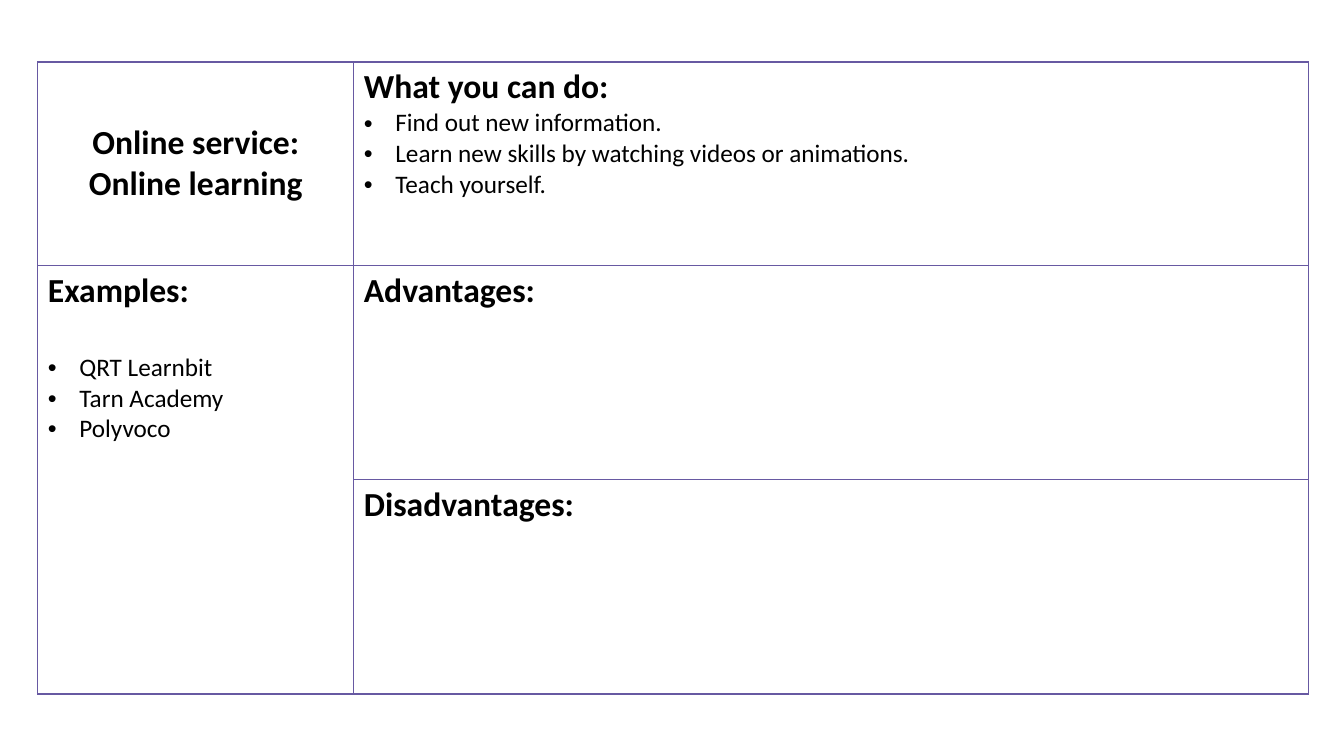
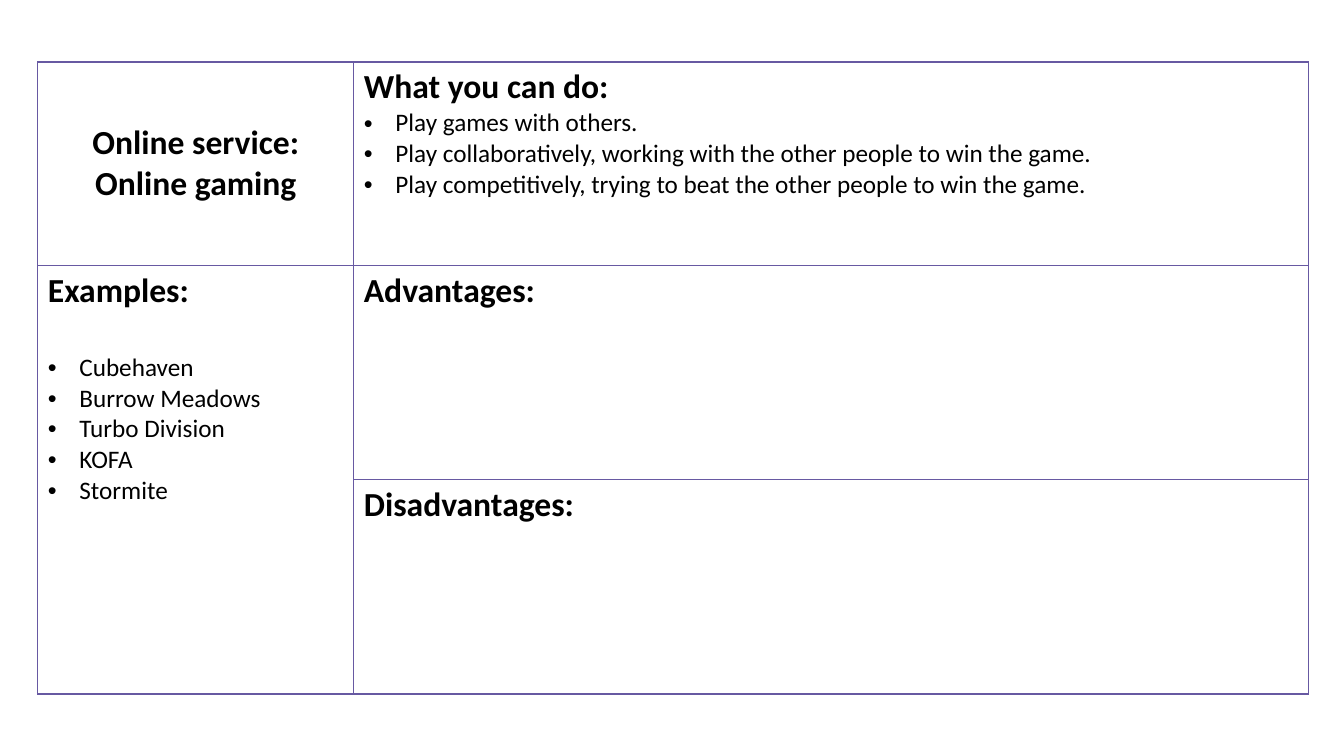
"""Build two worksheet slides that each describe one kind of online service."""
from dataclasses import dataclass

from lxml import etree
from pptx import Presentation
from pptx.dml.color import RGBColor
from pptx.enum.text import MSO_ANCHOR, PP_ALIGN
from pptx.oxml.ns import qn
from pptx.util import Pt

LEFT, CENTER = PP_ALIGN.LEFT, PP_ALIGN.CENTER
TOP, MIDDLE = MSO_ANCHOR.TOP, MSO_ANCHOR.MIDDLE
PX = 9525


@dataclass(frozen=True)
class Theme:
    font: str = "Calibri"
    ink: str = "000000"
    rule: str = "6759A2"
    rule_pt: int = 1
    head: int = 24
    body: int = 18
    gap: int = 29
    indent: int = 30


theme = Theme()
cols = [301, 909]
rows = [194, 204, 204]

pages = [
    (
        "Online learning",
        [
            "Find out new information.",
            "Learn new skills by watching videos or animations.",
            "Teach yourself.",
        ],
        ["QRT Learnbit", "Tarn Academy", "Polyvoco"],
    ),
    (
        "Online gaming",
        [
            "Play games with others.",
            "Play collaboratively, working with the other people to win the game.",
            "Play competitively, trying to beat the other people to win the game.",
        ],
        ["Cubehaven", "Burrow Meadows", "Turbo Division", "KOFA", "Stormite"],
    ),
]


def frame(cell):
    """Draw the four borders of a cell and clear its fill."""
    props = cell._tc.get_or_add_tcPr()
    for side in ("lnL", "lnR", "lnT", "lnB"):
        line = etree.SubElement(props, qn(f"a:{side}"), w=str(Pt(theme.rule_pt)))
        fill = etree.SubElement(line, qn("a:solidFill"))
        etree.SubElement(fill, qn("a:srgbClr"), val=theme.rule)
    cell.fill.background()


def write(cell, heads, items=(), gap=0, align=LEFT, anchor=TOP):
    """Write bold headings, then a bulleted list, into a cell."""
    cell.vertical_anchor = anchor
    text = cell.text_frame
    lines = [(head, True) for head in heads] + [(item, False) for item in items]
    for i, (words, bold) in enumerate(lines):
        para = text.add_paragraph() if i else text.paragraphs[0]
        para.alignment = align
        if not bold:
            props = para._p.get_or_add_pPr()
            props.set("marL", str(theme.indent * PX))
            props.set("indent", str(-theme.indent * PX))
            etree.SubElement(props, qn("a:buFont"), typeface="Arial")
            etree.SubElement(props, qn("a:buChar"), char="•")
        if gap and i == len(heads):
            para.space_before = Pt(gap)
        run = para.add_run()
        run.text = words
        run.font.name = theme.font
        run.font.size = Pt(theme.head if bold else theme.body)
        run.font.bold = bold
        run.font.color.rgb = RGBColor.from_string(theme.ink)


deck = Presentation()
deck.slide_width = 1280 * PX
deck.slide_height = 720 * PX
blank = deck.slide_layouts[6]

for service, uses, examples in pages:
    slide = deck.slides.add_slide(blank)
    grid = slide.shapes.add_table(
        len(rows), len(cols), 36 * PX, 59 * PX, sum(cols) * PX, sum(rows) * PX
    ).table
    grid.first_row = False
    grid.horz_banding = False
    for col, width in zip(grid.columns, cols):
        col.width = width * PX
    for row, height in zip(grid.rows, rows):
        row.height = height * PX
    for cell in grid.iter_cells():
        frame(cell)
    grid.cell(1, 0).merge(grid.cell(2, 0))

    write(grid.cell(0, 0), ["Online service:", service], align=CENTER, anchor=MIDDLE)
    write(grid.cell(0, 1), ["What you can do:"], uses)
    write(grid.cell(1, 0), ["Examples:"], examples, gap=theme.gap)
    write(grid.cell(1, 1), ["Advantages:"])
    write(grid.cell(2, 1), ["Disadvantages:"])

deck.save("out.pptx")
